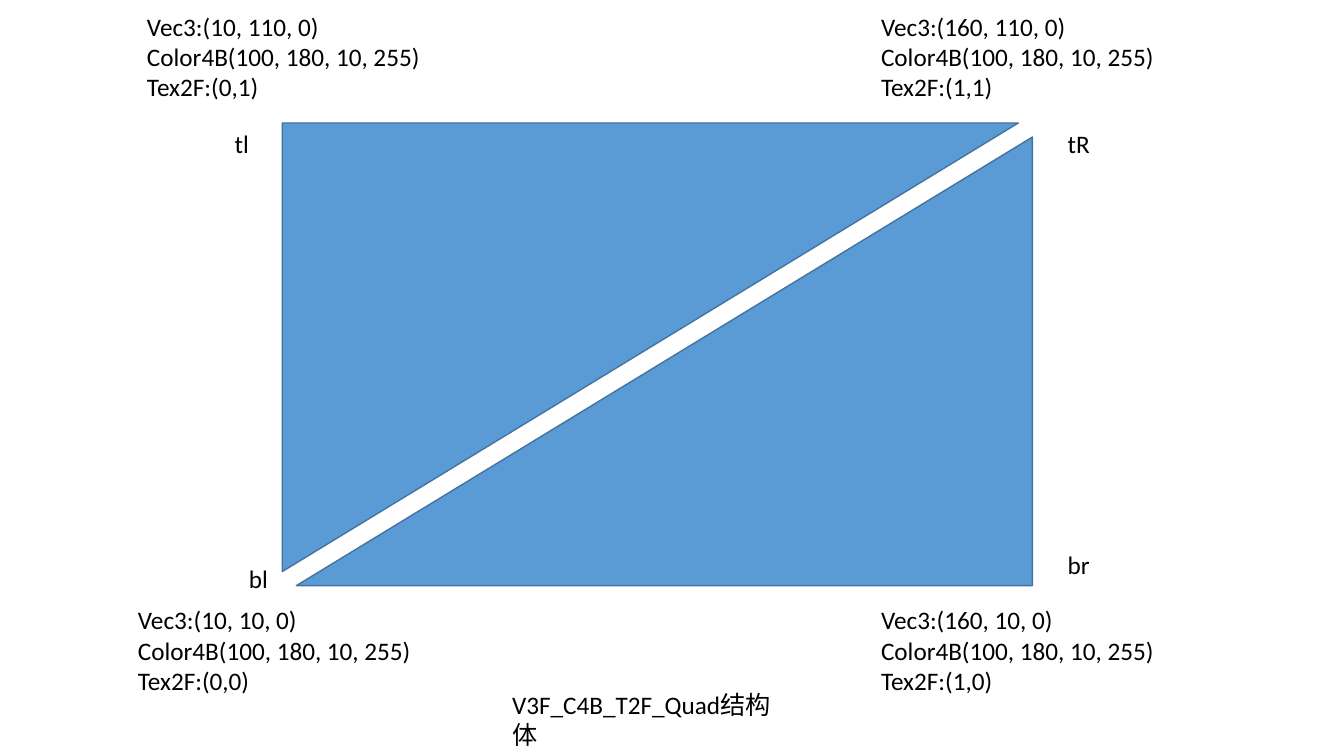
from dataclasses import dataclass

from pptx import Presentation
from pptx import util as u
from pptx.dml.color import RGBColor
from pptx.enum import shapes, text

PX = 9144  # EMU per px, 100 px to the inch
COLOURS = {"triangle": "5B9BD5", "edge": "43739E", "ink": "000000"}
FONT = "Calibri"
LABEL_HEIGHT = 40
VERTEX_WIDTH, VERTEX_HEIGHT = 294, 101
TRIANGLE_WIDTH, TRIANGLE_HEIGHT = 730, 445


@dataclass
class Triangle:
    left: int
    top: int
    rotation: int


@dataclass
class Label:
    left: int
    top: int
    width: int
    height: int
    words: str
    wrap: bool = False


@dataclass
class Corner:
    name: str
    name_left: int
    name_top: int
    name_width: int
    vertex_left: int
    vertex_top: int
    position: str
    texture: str

    def labels(self) -> list[Label]:
        vertex = f"Vec3:({self.position}, 0)\nColor4B(100, 180, 10, 255)\nTex2F:({self.texture})"
        return [
            Label(self.name_left, self.name_top, self.name_width, LABEL_HEIGHT, self.name),
            Label(self.vertex_left, self.vertex_top, VERTEX_WIDTH, VERTEX_HEIGHT, vertex),
        ]


TRIANGLES = [Triangle(280, 122, 180), Triangle(294, 136, 0)]
CORNERS = [
    Corner("tl", 223, 122, 34, 136, 6, "10, 110", "0,1"),
    Corner("tR", 1049, 122, 42, 864, 6, "160, 110", "1,1"),
    Corner("br", 1049, 540, 42, 864, 595, "160, 10", "1,0"),
    Corner("bl", 237, 554, 39, 127, 595, "10, 10", "0,0"),
]
CAPTION = Label(498, 679, 301, LABEL_HEIGHT, "V3F_C4B_T2F_Quad结构体", wrap=True)


def colour(name: str) -> RGBColor:
    return RGBColor.from_string(COLOURS[name])


def draw_triangle(slide, triangle: Triangle) -> None:
    half = slide.shapes.add_shape(
        shapes.MSO_SHAPE.RIGHT_TRIANGLE, triangle.left * PX, triangle.top * PX,
        TRIANGLE_WIDTH * PX, TRIANGLE_HEIGHT * PX)
    half.rotation = triangle.rotation
    half.element.spPr.xfrm.set("flipH", "1")
    half.shadow.inherit = False
    half.fill.solid()
    half.fill.fore_color.rgb = colour("triangle")
    half.line.color.rgb = colour("edge")
    half.line.width = u.Pt(1)


def draw_label(slide, label: Label) -> None:
    box = slide.shapes.add_textbox(
        label.left * PX, label.top * PX, label.width * PX, label.height * PX)
    frame = box.text_frame
    frame.text = label.words
    frame.word_wrap = label.wrap
    frame.auto_size = text.MSO_AUTO_SIZE.SHAPE_TO_FIT_TEXT
    for paragraph in frame.paragraphs:
        for run in paragraph.runs:
            run.font.name = FONT
            run.font.size = u.Pt(18)
            run.font.color.rgb = colour("ink")


def main() -> None:
    deck = Presentation()
    deck.slide_width, deck.slide_height = 1333 * PX, 750 * PX
    slide = deck.slides.add_slide(deck.slide_layouts[6])

    # Two triangles that form the quad
    for triangle in TRIANGLES:
        draw_triangle(slide, triangle)

    # Corner names and vertex data
    for corner in CORNERS:
        for label in corner.labels():
            draw_label(slide, label)

    # Caption
    draw_label(slide, CAPTION)

    deck.save("out.pptx")


if __name__ == "__main__":
    main()
